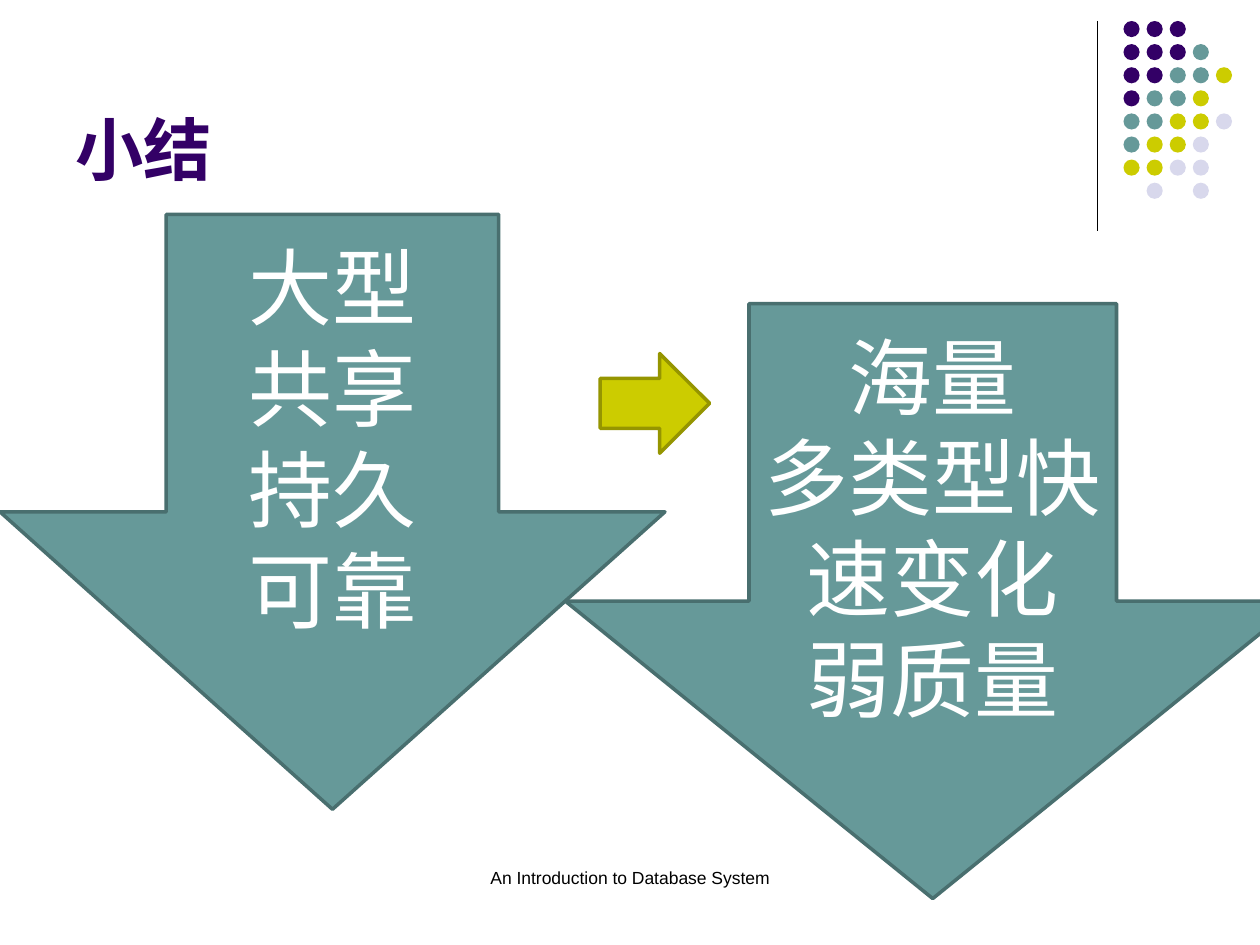
from lxml.etree import SubElement
from pptx import Presentation
from pptx.dml.color import RGBColor
from pptx.enum.shapes import MSO_CONNECTOR, MSO_SHAPE as SHAPE
from pptx.enum.text import MSO_ANCHOR as ANCHOR, PP_ALIGN as ALIGN
from pptx.oxml.ns import qn
from pptx.util import Pt

PURPLE, TEAL, OLIVE, LILAC = "330066", "669999", "CCCC00", "D8D8EC"
BLACK, WHITE = "000000", "FFFFFF"


def rgb(color):
    return RGBColor.from_string(color)


class SlideBuilder:
    font = "Arial"

    def __init__(self, slide):
        self.s = slide

    def set_text(self, tf, text, size, color, align, anchor, bold=False):
        tf.text = text
        tf.word_wrap = True
        tf.vertical_anchor = anchor
        for p in tf.paragraphs:
            p.alignment = align
            for r in p.runs:
                r.font.name = self.font
                r.font.size = Pt(size)
                r.font.bold = bold
                r.font.color.rgb = rgb(color)

    def title(self, text, x, y, w, h):
        sp = self.s.shapes.title
        sp.left, sp.top, sp.width, sp.height = map(Pt, (x, y, w, h))
        self.set_text(sp.text_frame, text, 39, PURPLE, ALIGN.LEFT, ANCHOR.BOTTOM, True)

    def label(self, text, x, y, w, h):
        sp = self.s.shapes.add_textbox(*map(Pt, (x, y, w, h)))
        self.set_text(sp.text_frame, text, 10, BLACK, ALIGN.CENTER, ANCHOR.TOP)

    def shape(self, kind, x, y, w, h, fill, line=None):
        sp = self.s.shapes.add_shape(kind, *map(Pt, (x, y, w, h)))
        sp.shadow.inherit = False
        sp.fill.solid()
        sp.fill.fore_color.rgb = rgb(fill)
        if line:
            sp.line.color.rgb = rgb(line)
            sp.line.width = Pt(2)
        else:
            sp.line.fill.background()
        return sp

    def down_arrow(self, lines, x, y, w, h):
        sp = self.shape(SHAPE.DOWN_ARROW, x, y, w, h, TEAL, "496F6F")
        self.set_text(sp.text_frame, "\n".join(lines), 48, WHITE, ALIGN.CENTER, ANCHOR.MIDDLE)

    def line(self, x1, y1, x2, y2):
        c = self.s.shapes.add_connector(MSO_CONNECTOR.STRAIGHT, *map(Pt, (x1, y1, x2, y2)))
        c.line.color.rgb = rgb(BLACK)
        c.line.width = Pt(0.75)
        SubElement(c._element.spPr, qn("a:effectLst"))

    def dots(self, rows, x, y, pitch, size):
        colors = {"P": PURPLE, "T": TEAL, "O": OLIVE, "L": LILAC}
        for i, row in enumerate(rows):
            for j, key in enumerate(row):
                if key in colors:
                    self.shape(SHAPE.OVAL, x + j * pitch, y + i * pitch, size, size, colors[key])


def main():
    prs = Presentation()
    prs.slide_width, prs.slide_height = Pt(720), Pt(540)
    b = SlideBuilder(prs.slides.add_slide(prs.slide_layouts[5]))

    # Corner decoration: one letter per dot colour
    b.line(627, 12, 627, 132)
    b.dots(["PPP", "PPPT", "PPTTO", "PTTO", "TTOOL", "TOOL", "OOLL", ".L.L"],
           642, 12, 13.2, 9.2)

    # Title and footer
    b.title("小结", 36, 9.5, 630, 102)
    b.label("An Introduction to Database System", 246, 492, 228, 36)

    # From database traits to big data traits
    b.down_arrow(["大型", "共享", "持久", "可靠"], 0, 122.5, 380, 340)
    b.down_arrow(["海量", "多类型快速变化", "弱质量"], 323, 173.5, 420, 340)
    b.shape(SHAPE.RIGHT_ARROW, 343, 202, 62.5, 57, OLIVE, "959500")

    prs.save("out.pptx")


if __name__ == "__main__":
    main()
